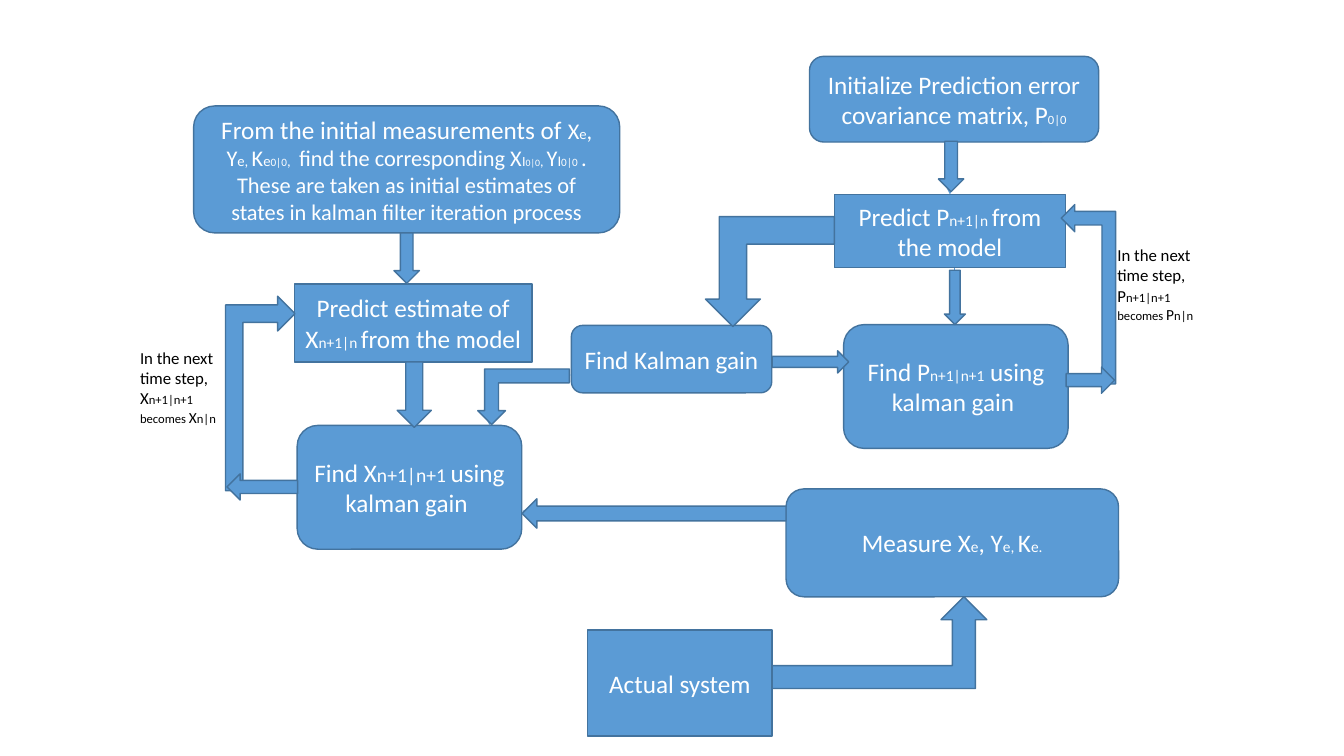
from dataclasses import dataclass

from lxml.etree import SubElement as Sub
from pptx import Presentation
from pptx.dml.color import RGBColor as RGB
from pptx.enum.shapes import MSO_CONNECTOR as Link, MSO_SHAPE as Kind
from pptx.enum.text import MSO_ANCHOR as Anchor, MSO_AUTO_SIZE as Fit, PP_ALIGN as Align
from pptx.oxml.ns import qn
from pptx.util import Cm, Pt


@dataclass(frozen=True)
class Theme:
    font: str = "Calibri"
    fill: RGB = RGB(0x5B, 0x9B, 0xD5)
    edge: RGB = RGB(0x43, 0x73, 0x9E)
    light: RGB = RGB(0xFF, 0xFF, 0xFF)
    dark: RGB = RGB(0, 0, 0)
    main: float = 18
    body: float = 16
    mid: float = 14
    note: float = 12
    sub: float = 11
    low: float = 10.5
    less: float = 10
    small: float = 9
    tiny: float = 8
    least: float = 7


T = Theme()


def write(frame, runs, color, align):
    """Fill a frame with one paragraph of (text, size) runs."""
    frame.word_wrap = True
    para = frame.paragraphs[0]
    para.alignment = align
    para.font.name = T.font
    para.font.color.rgb = color
    if len(runs) == 1:
        para.font.size = Pt(runs[0][1])
    for text, size in runs:
        run = para.add_run()
        run.text = text
        if len(runs) > 1:
            run.font.size = Pt(size)


def add_block(slide, kind, place):
    block = slide.shapes.add_shape(kind, *map(Cm, place))
    block.shadow.inherit = False
    block.fill.solid()
    block.fill.fore_color.rgb = T.fill
    block.line.color.rgb = T.edge
    block.line.width = Pt(1)
    return block


def add_box(slide, kind, place, *runs):
    box = add_block(slide, kind, place)
    box.text_frame.vertical_anchor = Anchor.MIDDLE
    write(box.text_frame, runs, T.light, Align.CENTER)
    return box


def add_note(slide, place, name):
    """Say which value the next time step takes over."""
    frame = slide.shapes.add_textbox(*map(Cm, place)).text_frame
    runs = [(f"In the next time step, {name}", T.note), ("n+1|n+1 becomes ", T.small),
            (name, T.sub), ("n|n", T.small)]
    write(frame, runs, T.dark, Align.LEFT)
    frame.auto_size = Fit.SHAPE_TO_FIT_TEXT


def add_line(slide, start, end, source=None, target=None):
    """Draw a thin arrow; source and target are (box, side) pairs."""
    line = slide.shapes.add_connector(Link.STRAIGHT, *map(Cm, start + end))
    line.line.color.rgb = T.fill
    line.line.width = Pt(0.5)
    if source:
        line.begin_connect(*source)
    if target:
        line.end_connect(*target)
    Sub(line.line._get_or_add_ln(), qn("a:tailEnd"), type="triangle")
    Sub(line._element.spPr, qn("a:effectLst"))


def add_arrow(slide, kind, place, turn=0, flip=""):
    arrow = add_block(slide, kind, place)
    arrow.rotation = turn
    for axis in flip:
        arrow._element.spPr.xfrm.set(f"flip{axis}", "1")


def main():
    deck = Presentation()
    deck.slide_width, deck.slide_height = Cm(33.87), Cm(19.05)
    slide = deck.slides.add_slide(deck.slide_layouts[6])
    plain, soft, alt = Kind.RECTANGLE, Kind.ROUNDED_RECTANGLE, Kind.FLOWCHART_ALTERNATE_PROCESS

    # State estimate
    start = add_box(
        slide, alt, (4.88, 2.67, 10.74, 3.2),
        ("From the initial measurements of ", T.main), ("X", T.body), ("e", T.low),
        (", Y", T.body), ("e, ", T.low), ("K", T.body), ("e", T.low), ("0|0", T.tiny),
        (", ", T.low), (" find the corresponding X", T.body), ("I", T.less),
        ("0|0", T.least), (", ", T.less), ("Y", T.body), ("I", T.low), ("0|0", T.tiny),
        (" ", T.low),
        (". These are taken as initial estimates of states in kalman filter iteration process",
         T.body))
    guess = add_box(slide, plain, (7.42, 7.16, 5.99, 1.96), ("Predict estimate of X", T.main),
                    ("n+1|n ", T.sub), ("from the model", T.main))
    add_box(slide, soft, (7.49, 10.72, 5.66, 3.12), ("Find X", T.main),
            ("n+1|n+1 ", T.mid), ("using kalman gain ", T.main))
    add_note(slide, (3.28, 8.64, 2.77, 2.24), "X")

    # Error covariance
    add_box(slide, soft, (20.4, 1.42, 7.29, 2.16),
            ("Initialize Prediction error covariance matrix, P", T.main), ("0|0", T.small))
    error = add_box(slide, plain, (21.03, 4.9, 5.82, 1.85), ("Predict P", T.main),
                    ("n+1|n ", T.sub), ("from the model", T.main))
    add_box(slide, soft, (21.26, 8.18, 5.66, 3.12), ("Find P", T.main),
            ("n+1|n+1", T.sub), (" using kalman gain ", T.main))
    add_note(slide, (27.91, 6.05, 2.77, 2.24), "P")

    # Gain and measurement
    add_box(slide, soft, (14.4, 8.2, 5.05, 1.7), ("Find Kalman gain", T.main))
    add_box(slide, alt, (19.81, 12.32, 8.38, 2.72), ("Measure X", T.main), ("e", T.sub),
            (", Y", T.main), ("e, ", T.sub), ("K", T.main), ("e.", T.sub))
    plant = add_box(slide, plain, (14.81, 15.88, 4.65, 2.67), ("Actual system", T.main))

    # Thin arrows
    bend, turn = (12.32, 9.42), (24.33, 17.2)
    add_line(slide, (10.25, 5.87), (10.26, 7.16), source=(start, 2))
    add_line(slide, (10.41, 9.12), (10.41, 10.72), source=(guess, 2))
    add_line(slide, (23.93, 3.56), (23.94, 4.9), target=(error, 0))
    add_line(slide, (24.05, 6.75), (24.05, 8.1))
    add_line(slide, (19.46, 9.12), (21.26, 9.12))
    add_line(slide, (14.38, 9.45), bend)
    add_line(slide, bend, (12.34, 10.72))
    add_line(slide, (19.81, 12.88), (13.16, 12.88))
    add_line(slide, (19.46, 17.2), turn, source=(plant, 3))
    add_line(slide, turn, (24.33, 15.04))

    # Straight block arrows
    for kind, place, spin in (
        (Kind.DOWN_ARROW, (10.01, 9.12, 0.86, 1.65), 0),
        (Kind.DOWN_ARROW, (9.93, 5.87, 0.64, 1.27), 0),
        (Kind.DOWN_ARROW, (23.65, 3.56, 0.64, 1.27), 0),
        (Kind.DOWN_ARROW, (23.8, 6.81, 0.53, 1.37), 0),
        (Kind.LEFT_ARROW, (13.16, 12.57, 6.65, 0.74), 0),
        (Kind.RIGHT_ARROW, (19.46, 8.84, 1.93, 0.56), 0),
    ):
        add_arrow(slide, kind, place, spin)

    # Bent block arrows
    for place, spin, flip in (
        ((17.78, 5.46, 3.25, 2.77), 0, "HV"),
        ((12.04, 9.3, 2.31, 1.4), 0, "HV"),
        ((19.46, 15.04, 5.41, 2.31), 0, ""),
        ((4.11, 9.04, 4.9, 1.75), 90, "H"),
        ((25.17, 6.73, 4.52, 1.37), 270, ""),
    ):
        add_arrow(slide, Kind.BENT_UP_ARROW, place, spin, flip)

    # Feedback arrows over the bends
    add_arrow(slide, Kind.RIGHT_ARROW, (26.87, 9.25, 1.22, 0.66))
    add_arrow(slide, Kind.RIGHT_ARROW, (5.72, 11.94, 1.78, 0.66), 180)

    deck.save("out.pptx")


if __name__ == "__main__":
    main()
